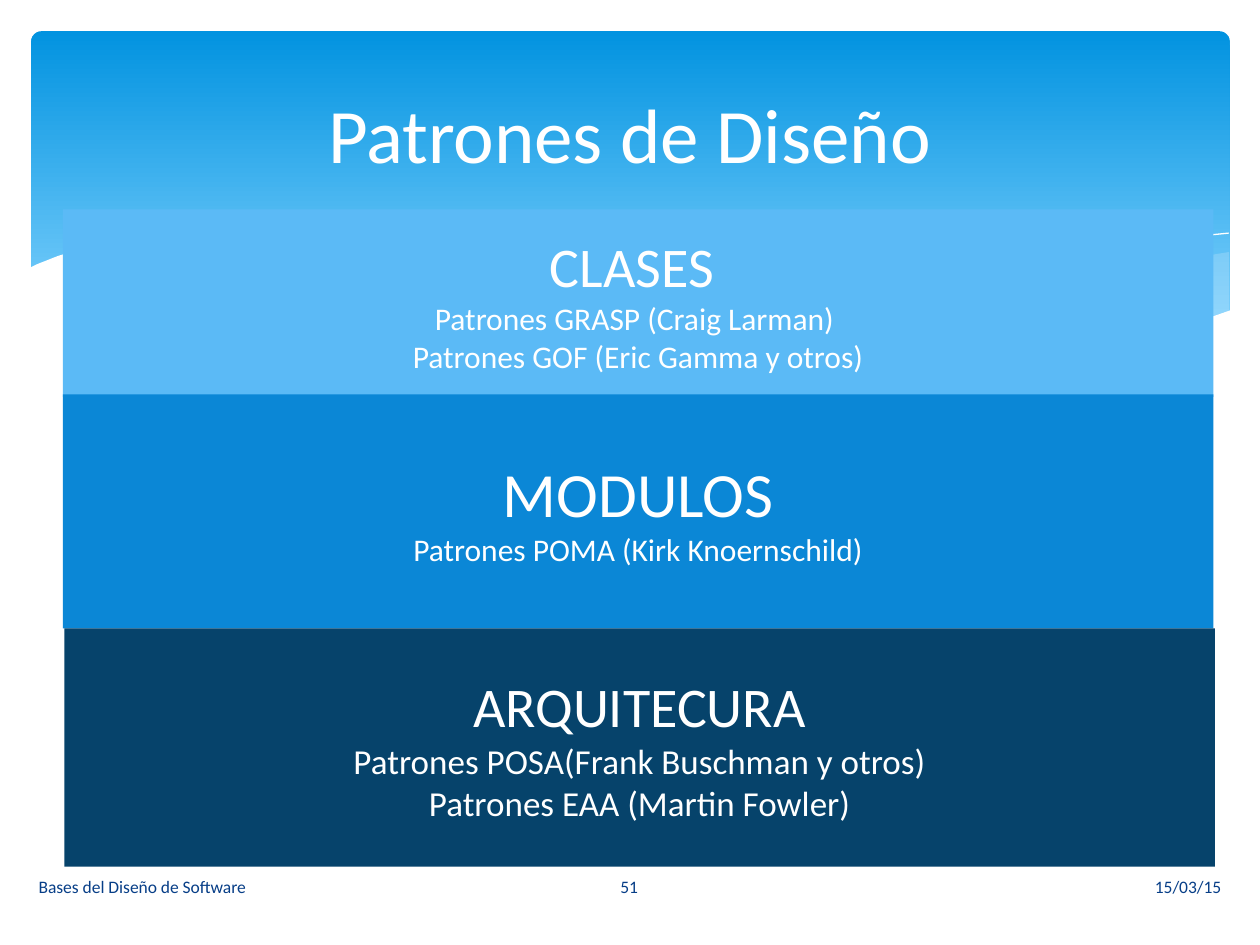
from lxml.etree import SubElement
from pptx import Presentation
from pptx.dml.color import RGBColor
from pptx.enum.shapes import MSO_SHAPE
from pptx.enum.text import MSO_ANCHOR, PP_ALIGN
from pptx.oxml.ns import qn
from pptx.util import Cm, Pt

COLORS = {
    "white": "FFFFFF", "sky": "0293E0", "pale": "83D3FE", "mist": "C6E7FC",
    "clases": "5BBAF6", "modulos": "0B87D6", "arquitectura": "06436B", "footer": "073E87",
}


def rgb(name):
    return RGBColor.from_string(COLORS[name])


def add_text(tf, text, size=18, color="white", align=PP_ALIGN.CENTER, first=False):
    tf.word_wrap = True
    tf.vertical_anchor = MSO_ANCHOR.MIDDLE
    p = tf.paragraphs[0] if first else tf.add_paragraph()
    p.alignment = align
    r = p.add_run()
    r.text = text
    r.font.name = "Calibri"
    r.font.size = Pt(size)
    r.font.color.rgb = rgb(color)


prs = Presentation()
prs.slide_width, prs.slide_height = Cm(25.4), Cm(19.05)
s = prs.slides.add_slide(prs.slide_layouts[6])

banner = s.shapes.add_shape(MSO_SHAPE.ROUNDED_RECTANGLE, Cm(0.63), Cm(0.63), Cm(24.16), Cm(6.86))
banner.adjustments[0] = 0.03
banner.shadow.inherit = False
banner.line.fill.background()
banner.fill.gradient()
banner.fill.gradient_angle = 270
for stop, color, position in zip(banner.fill.gradient_stops, ("sky", "pale"), (0, 0.9)):
    stop.color.rgb = rgb(color)
    stop.position = position

MIST = [
    (24.78, 5.08), (23.75, 5.25), (22.25, 5.58), (19.79, 6.15), (17.93, 6.53), (16.79, 6.73),
    (18.26, 6.91), (19.53, 7.01), (20.68, 7.06), (21.69, 7.01), (22.58, 6.93),
    (23.39, 6.73), (24.1, 6.53), (24.78, 6.27),
]
CREST = [
    (15.57, 6.53), (17.07, 6.12), (19, 5.66), (20.47, 5.33), (22, 5.05), (23.47, 4.83), (24.77, 4.7),
]
WAVE = [
    (24.82, 6.25), (23.88, 6.58), (22.83, 6.83), (21.59, 6.99), (20.14, 7.03), (18.9, 6.98),
    (17.48, 6.81), (15.9, 6.55), (14.1, 6.22), (12.07, 5.76), (10.62, 5.41), (9.27, 5.13),
    (8.03, 4.92), (6.88, 4.77), (5.84, 4.7), (4.5, 4.67), (3.35, 4.72), (2.41, 4.85),
    (1.7, 5), (1.17, 5.16), (0.74, 5.33), (0.58, 5.41), (0.58, 8.36), (24.82, 8.36),
]
for points, fill, closed in ((MIST, "mist", True), (CREST, None, False), (WAVE, "white", True)):
    points = [(Cm(x), Cm(y)) for x, y in points]
    builder = s.shapes.build_freeform(*points[0])
    builder.add_line_segments(points[1:], close=closed)
    sp = builder.convert_to_shape()
    sp.shadow.inherit = False
    if fill:
        sp.fill.solid()
        sp.fill.fore_color.rgb = rgb(fill)
        sp.line.fill.background()
    else:
        sp.fill.background()
        sp.line.color.rgb = rgb("white")
        sp.line.width = Pt(0)
    if fill == "mist":
        color = sp.fill._xPr.find(qn("a:solidFill"))[0]
        SubElement(color, qn("a:alpha"), val="29000")

LABELS = [
    ("Patrones de Diseño", 1.27, 0.94, 22.86, 3.48, 44, "white", PP_ALIGN.CENTER),
    ("15/03/15", 14.35, 17.37, 10.52, 1.02, 10, "footer", PP_ALIGN.RIGHT),
    ("Bases del Diseño de Software", 0.53, 17.37, 10.52, 1.02, 10, "footer", PP_ALIGN.LEFT),
    ("51", 11.07, 17.37, 3.23, 1.02, 10, "footer", PP_ALIGN.CENTER),
]
for text, x, y, w, h, size, color, align in LABELS:
    tb = s.shapes.add_textbox(Cm(x), Cm(y), Cm(w), Cm(h))
    add_text(tb.text_frame, text, size=size, color=color, align=align, first=True)

LAYERS = [
    ("clases", 1.27, 4.22, 3.78, "CLASES ", 32, 18,
     ["Patrones GRASP (Craig Larman) ", "Patrones GOF (Eric Gamma y otros)"]),
    ("modulos", 1.27, 7.95, 4.72, "MODULOS", 36, 18, ["Patrones POMA (Kirk Knoernschild)"]),
    ("arquitectura", 1.3, 12.67, 4.8, "ARQUITECURA", 32, 20,
     ["Patrones POSA(Frank Buschman y otros)", "Patrones EAA (Martin Fowler)"]),
]
for color, x, y, h, heading, heading_size, size, patterns in LAYERS:
    sp = s.shapes.add_shape(MSO_SHAPE.RECTANGLE, Cm(x), Cm(y), Cm(23.19), Cm(h))
    sp.shadow.inherit = False
    sp.fill.solid()
    sp.fill.fore_color.rgb = rgb(color)
    sp.line.fill.background()
    add_text(sp.text_frame, heading, size=heading_size, first=True)
    for pattern in patterns:
        add_text(sp.text_frame, pattern, size=size)

prs.save("out.pptx")
